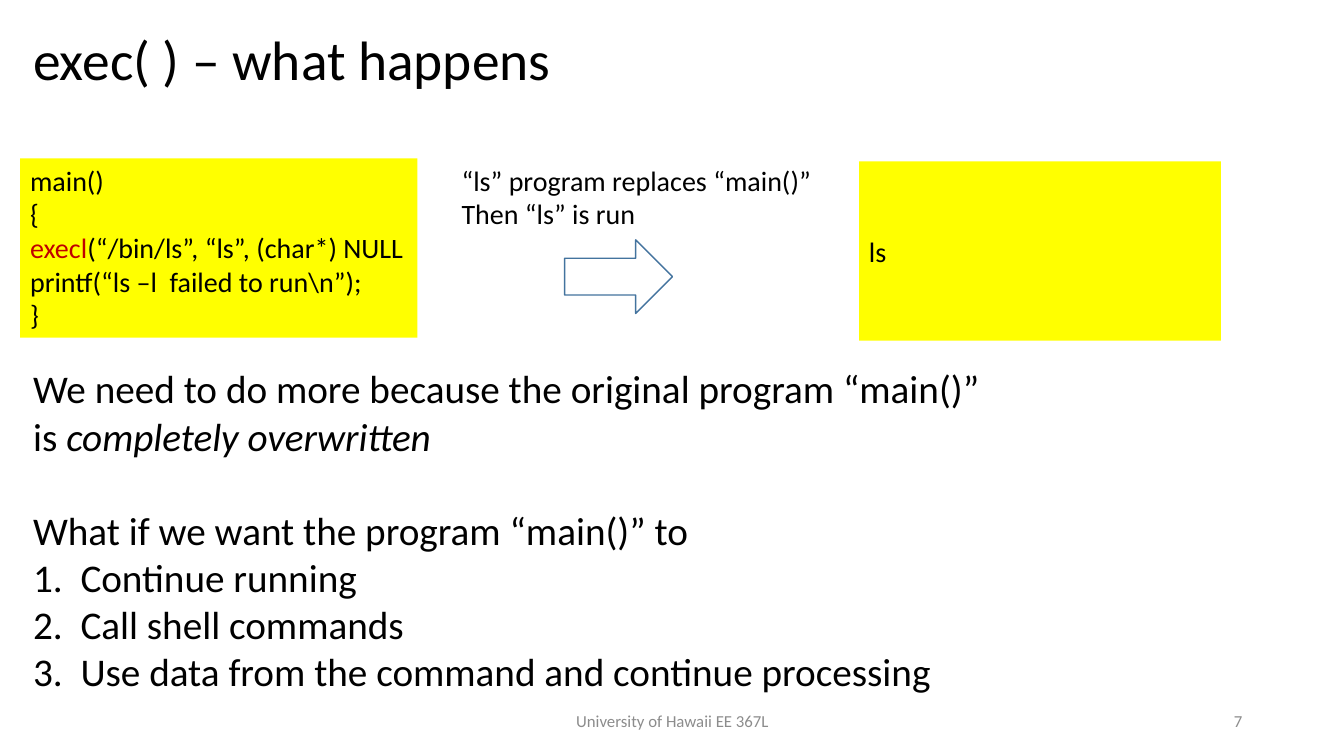
import pptx
import pptx.util
import pptx.dml.color
import pptx.enum.shapes
import pptx.enum.text
import lxml.etree
from pptx.util import Inches

Align = pptx.enum.text.PP_ALIGN
Anchor = pptx.enum.text.MSO_ANCHOR
Shape = pptx.enum.shapes.MSO_SHAPE


def color(value):
    return pptx.dml.color.RGBColor.from_string(value)


def write(box, lines, size, ink="000000", align=Align.LEFT, anchor=Anchor.TOP, wrap=True):
    frame = box.text_frame
    frame.word_wrap = wrap
    frame.auto_size = pptx.enum.text.MSO_AUTO_SIZE.NONE
    frame.vertical_anchor = anchor
    for index, spans in enumerate(lines):
        para = frame.paragraphs[0] if index == 0 else frame.add_paragraph()
        para.alignment = align
        for text in spans:
            span = para.add_run()
            span.text = text
            span.font.name = "Calibri"
            span.font.size = pptx.util.Pt(size)
            span.font.color.rgb = color(ink)
    return frame.paragraphs


deck = pptx.Presentation()
deck.slide_width = Inches(13.33)
deck.slide_height = Inches(7.5)
page = deck.slides.add_slide(deck.slide_layouts[5])

title = page.shapes.title
title.left, title.top = Inches(0.23), Inches(0.26)
title.width, title.height = Inches(11.5), Inches(0.72)
heading = write(title, [["exec( ) – what happens"]], 39.6, anchor=Anchor.MIDDLE)
heading[0].line_spacing = 0.9

for text, left, width, align in [
    ("University of Hawaii EE 367L", 4.42, 4.5, Align.CENTER),
    ("7", 9.42, 3, Align.RIGHT),
]:
    footer = page.shapes.add_textbox(Inches(left), Inches(6.95), Inches(width), Inches(0.4))
    write(footer, [[text]], 12, "8C8C8C", align, Anchor.MIDDLE)

main_code = [
    ["main()"],
    ["{"],
    ["execl", "(“/bin/ls”, “ls”, (char*) NULL"],
    ["printf(“ls –l  failed to run\\n”);"],
    ["}"],
]
programs = []
for lines, left, top, width, anchor, wrap in [
    (main_code, 0.2, 1.57, 3.94, Anchor.TOP, False),
    ([["ls"]], 8.52, 1.6, 3.59, Anchor.MIDDLE, True),
]:
    program = page.shapes.add_shape(
        Shape.RECTANGLE, Inches(left), Inches(top), Inches(width), Inches(1.78))
    program.shadow.inherit = False
    program.fill.solid()
    program.fill.fore_color.rgb = color("FFFF00")
    program.line.fill.background()
    programs.append(write(program, lines, 20, anchor=anchor, wrap=wrap))
programs[0][2].runs[0].font.color.rgb = color("C00000")

caption = page.shapes.add_textbox(Inches(4.48), Inches(1.57), Inches(3.7), Inches(0.77))
write(caption, [["“ls” program replaces “main()”"], ["Then “ls” is run"]], 20, wrap=False)

arrow = page.shapes.add_shape(
    Shape.RIGHT_ARROW, Inches(5.6), Inches(2.38), Inches(1.07), Inches(0.73))
arrow.shadow.inherit = False
arrow.fill.background()
arrow.line.color.rgb = color("43739E")
arrow.line.width = pptx.util.Pt(1)

body = page.shapes.add_textbox(Inches(0.23), Inches(3.57), Inches(9.78), Inches(3.4))
paragraphs = write(body, [
    ["We need to do more because the original program “main()”"],
    ["is ", "completely overwritten"],
    ["What if we want the program “main()” to"],
    ["Continue running"],
    ["Call shell commands"],
    ["Use data from the command and continue processing"],
], 28, wrap=False)
paragraphs[1].runs[1].font.italic = True
paragraphs[2].space_before = pptx.util.Pt(34)
for para in paragraphs[3:]:
    properties = para._p.get_or_add_pPr()
    properties.set("marL", str(Inches(0.47)))
    properties.set("indent", str(-Inches(0.47)))
    number = lxml.etree.SubElement(properties, pptx.oxml.ns.qn("a:buAutoNum"))
    number.set("type", "arabicPeriod")

deck.save("out.pptx")
